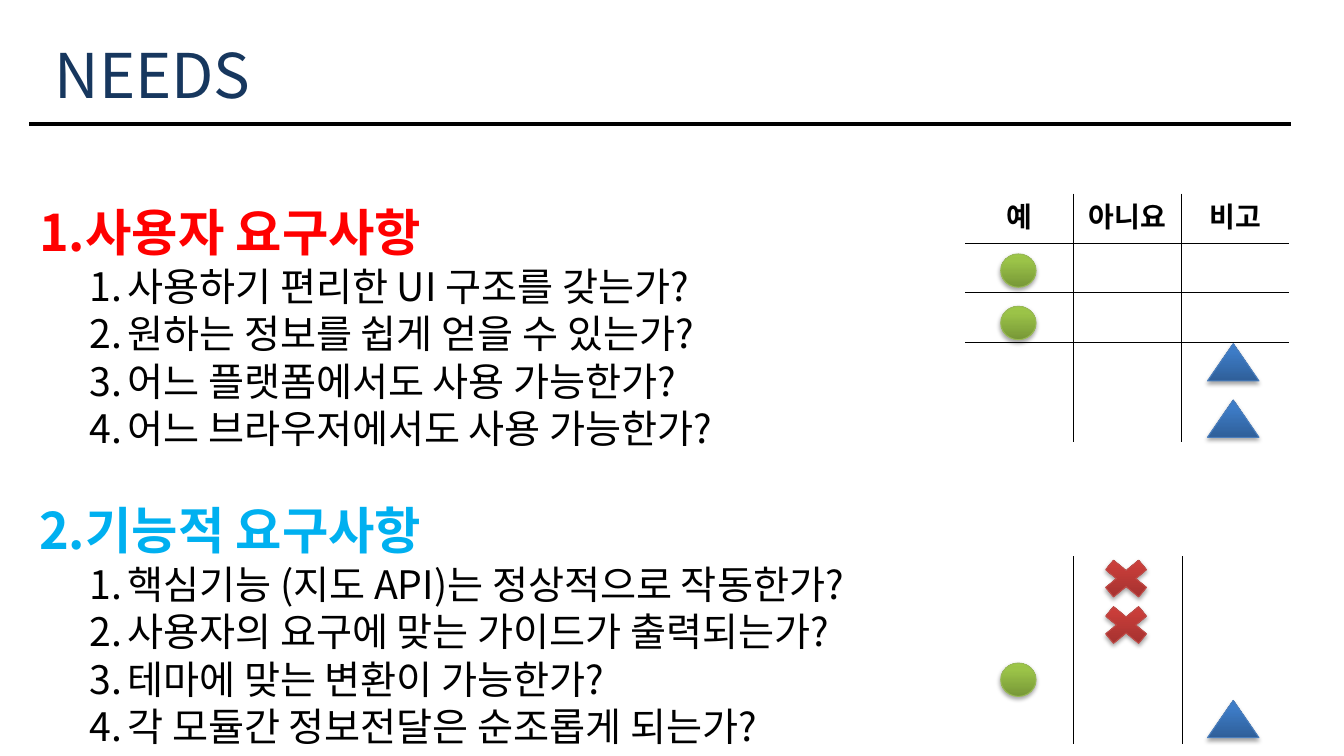
from lxml import etree
from pptx import Presentation
from pptx.dml.color import RGBColor
from pptx.enum.shapes import MSO_CONNECTOR, MSO_SHAPE
from pptx.enum.text import MSO_ANCHOR, MSO_AUTO_SIZE, PP_ALIGN
from pptx.oxml import parse_xml
from pptx.oxml.ns import nsdecls, qn
from pptx.util import Cm, Pt

CIRCLE = MSO_SHAPE.FLOWCHART_CONNECTOR
TRIANGLE = MSO_SHAPE.ISOSCELES_TRIANGLE
CROSS = MSO_SHAPE.MATH_MULTIPLY
STRAIGHT = MSO_CONNECTOR.STRAIGHT
TOP, MIDDLE = MSO_ANCHOR.TOP, MSO_ANCHOR.MIDDLE
LEFT, CENTER = PP_ALIGN.LEFT, PP_ALIGN.CENTER
NO_FIT = MSO_AUTO_SIZE.NONE

FONT = "Noto Sans CJK KR"
PLAIN_TABLE = "{2D5ABB26-0587-4C30-8999-92F81FD0307C}"
COLORS = {"title": "17375E", "black": "000000", "user": "FF0000", "function": "00B0F0"}


def add_text(para, text, size, color, bold=False):
    span = para.add_run()
    span.text = text
    span.font.size = Pt(size)
    span.font.bold = bold
    span.font.name = FONT
    span.font.color.rgb = RGBColor.from_string(COLORS[color])
    east_asian = etree.SubElement(span.font._element, qn("a:ea"))
    east_asian.set("typeface", FONT)
    para.line_spacing = Pt(round(size * 1.21, 1))


def add_border(cell, side):
    cell._tc.get_or_add_tcPr().append(parse_xml(
        f'<a:{side} {nsdecls("a")} w="12700"><a:solidFill>'
        f'<a:srgbClr val="{COLORS["black"]}"/></a:solidFill></a:{side}>'))


deck = Presentation()
deck.slide_width, deck.slide_height = Cm(33.87), Cm(19.05)
page = deck.slides.add_slide(deck.slide_layouts[5])

title = page.shapes.title
title.left, title.top, title.width, title.height = Cm(1.12), Cm(0.8), Cm(10.46), Cm(2.13)
frame = title.text_frame
frame.auto_size = NO_FIT
frame.vertical_anchor = TOP
frame.paragraphs[0].alignment = LEFT
add_text(frame.paragraphs[0], "NEEDS", 44, "title")

rule = page.shapes.add_connector(STRAIGHT, Cm(0.74), Cm(3.12), Cm(32.54), Cm(3.12))
rule.line.color.rgb = RGBColor.from_string(COLORS["black"])
rule.line.width = Pt(3)
etree.SubElement(rule._element.spPr, qn("a:effectLst"))

sections = [
    ("사용자 요구사항", "user", [
        "사용하기 편리한 UI 구조를 갖는가?",
        "원하는 정보를 쉽게 얻을 수 있는가?",
        "어느 플랫폼에서도 사용 가능한가?",
        "어느 브라우저에서도 사용 가능한가?"]),
    ("기능적 요구사항", "function", [
        "핵심기능 (지도 API)는 정상적으로 작동한가?",
        "사용자의 요구에 맞는 가이드가 출력되는가?",
        "테마에 맞는 변환이 가능한가?",
        "각 모듈간 정보전달은 순조롭게 되는가?"]),
]
box = page.shapes.add_textbox(Cm(0.74), Cm(4.93), Cm(25.93), Cm(14.1))
frame = box.text_frame
frame.word_wrap = True
for section, (heading, color, questions) in enumerate(sections, 1):
    lines = [(heading, 36, color, 0, section)]
    lines += [(question, 28, "black", 1, number) for number, question in enumerate(questions, 1)]
    for text, size, shade, level, number in lines:
        para = frame.add_paragraph() if frame.text else frame.paragraphs[0]
        para.level = level
        add_text(para, text, size, shade, bold=level == 0)
        if level == 0 and section > 1:
            para.space_before = Pt(33.6)
        properties = para._p.get_or_add_pPr()
        properties.set("marL", str(Cm(0.95 + 1.27 * level)))
        properties.set("indent", str(-Cm(0.95)))
        bullet = etree.SubElement(properties, qn("a:buAutoNum"))
        bullet.set("type", "arabicPeriod")
        bullet.set("startAt", str(number))

tables = [
    (4.88, 2.72, 1.25, 5, ["예", "아니요", "비고"]),
    (14.02, 2.73, 1.18, 4, []),
]
for top, column_width, row_height, row_count, headers in tables:
    table = page.shapes.add_table(row_count, 3, Cm(24.33), Cm(top),
                                  Cm(column_width * 3), Cm(row_height * row_count)).table
    table.first_row = table.horz_banding = False
    table._tbl.tblPr.find(qn("a:tableStyleId")).text = PLAIN_TABLE
    for row in range(row_count):
        for column in range(3):
            cell = table.cell(row, column)
            if column > 0:
                add_border(cell, "lnL")
            if column < 2:
                add_border(cell, "lnR")
            if headers and row in (1, 2):
                add_border(cell, "lnT")
            if headers and row in (0, 1):
                add_border(cell, "lnB")
            cell.fill.background()
    for column, header in enumerate(headers):
        cell = table.cell(0, column)
        cell.vertical_anchor = MIDDLE
        para = cell.text_frame.paragraphs[0]
        para.alignment = CENTER
        add_text(para, header, 20, "black", bold=True)

marks = [
    (CIRCLE, 25.22, 0.89, 0.84, [6.4, 7.72, 16.71], ("779737", "9BC348", "9DC746"), "98B955"),
    (TRIANGLE, 30.43, 1.3, 0.94, [8.66, 10.08, 17.65], ("2F5F99", "3D7CC7", "3A7CCB"), "4B7EBC"),
    (CROSS, 27.58, 1.6, 1.32, [13.92, 15.09], ("9C2F2D", "CB3E3A", "CE3B37"), "BF4C48"),
]
for kind, left, width, height, tops, shades, outline in marks:
    stops = "".join(f'<a:gs pos="{position}000"><a:srgbClr val="{shade}"/></a:gs>'
                    for position, shade in zip((0, 80, 100), shades))
    for top in tops:
        mark = page.shapes.add_shape(kind, Cm(left), Cm(top), Cm(width), Cm(height))
        mark.line.color.rgb = RGBColor.from_string(outline)
        mark.line.width = Pt(0.75)
        properties = mark._element.spPr
        properties.find(qn("a:ln")).addprevious(parse_xml(
            f'<a:gradFill {nsdecls("a")} rotWithShape="1"><a:gsLst>{stops}</a:gsLst>'
            '<a:lin ang="16200000" scaled="0"/></a:gradFill>'))
        properties.append(parse_xml(
            f'<a:effectLst {nsdecls("a")}><a:outerShdw blurRad="{Pt(3.1)}" dist="{Pt(1.8)}" '
            f'dir="5400000" rotWithShape="0"><a:srgbClr val="{COLORS["black"]}">'
            '<a:alpha val="35000"/></a:srgbClr></a:outerShdw></a:effectLst>'))

deck.save("out.pptx")
